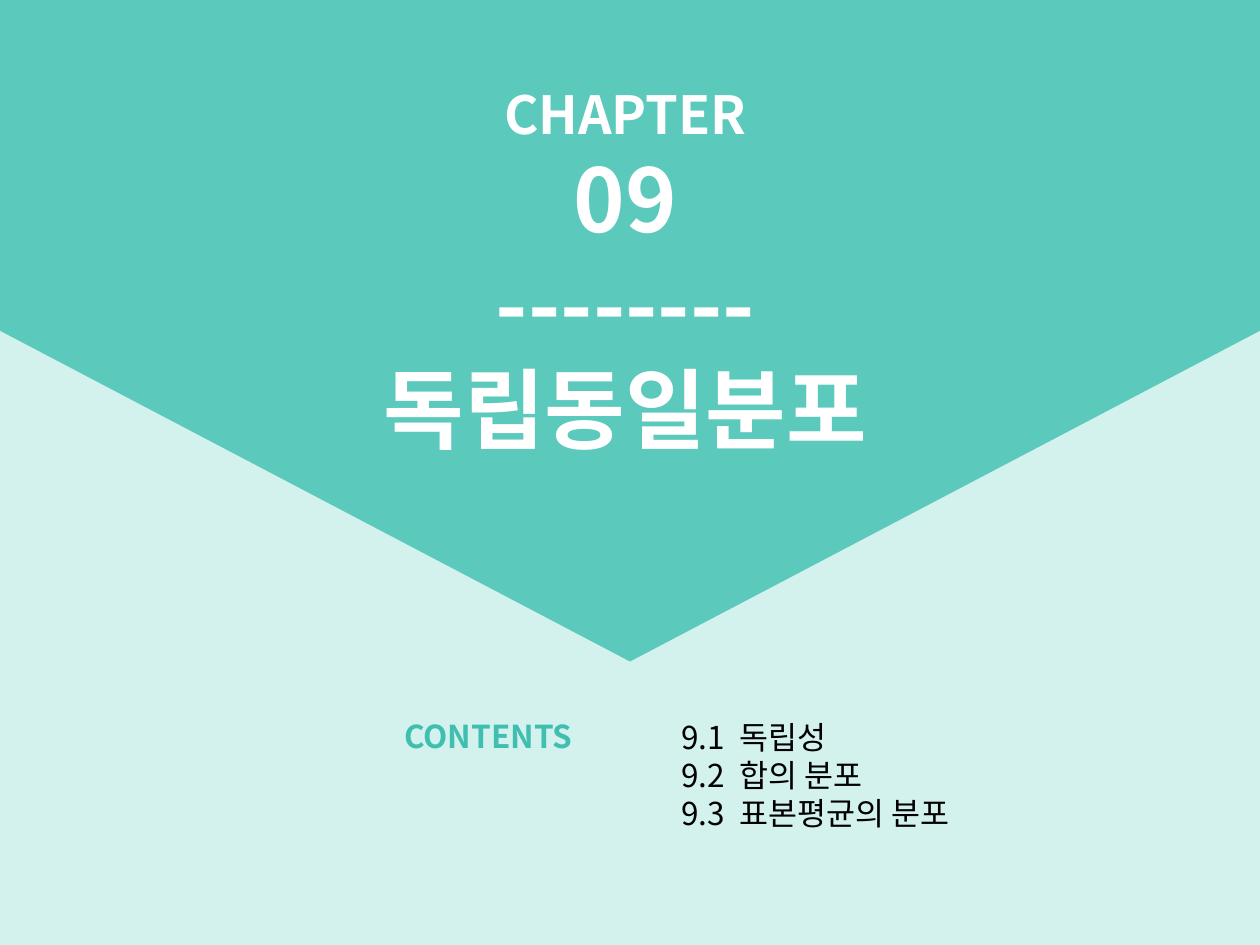
from lxml.etree import SubElement
from pptx import Presentation
from pptx.dml.color import RGBColor
from pptx.enum.shapes import MSO_SHAPE as Shape
from pptx.enum.text import MSO_ANCHOR as Anchor, MSO_AUTO_SIZE as AutoSize, PP_ALIGN as Align
from pptx.oxml.ns import qn
from pptx.util import Cm, Pt

FONT = "Noto Sans CJK KR"
WIDTH, HEIGHT = 25.4, 19.05


def color(value):
    return RGBColor.from_string(value)


def add_panel(page, kind, left, top, width, height, fill, rotation=0):
    panel = page.shapes.add_shape(kind, Cm(left), Cm(top), Cm(width), Cm(height))
    panel.rotation = rotation
    panel.shadow.inherit = False
    panel.fill.solid()
    panel.fill.fore_color.rgb = color(fill)
    panel.line.fill.background()
    return panel


def write(frame, text, size, fill, bold=False, align=Align.LEFT, hanging=0, first=False):
    para = frame.paragraphs[0] if first else frame.add_paragraph()
    para.alignment = align
    if hanging:
        properties = para._p.get_or_add_pPr()
        properties.set("marL", str(Cm(hanging)))
        properties.set("indent", str(-Cm(hanging)))
    span = para.add_run()
    span.text = text
    span.font.size = Pt(size)
    span.font.bold = bold
    span.font.name = FONT
    span.font.color.rgb = color(fill)
    SubElement(span._r.get_or_add_rPr(), qn("a:ea"), typeface=FONT)


def prepare(box, left, top, width, height):
    box.left, box.top, box.width, box.height = Cm(left), Cm(top), Cm(width), Cm(height)
    frame = box.text_frame
    frame.word_wrap = True
    frame.auto_size = AutoSize.SHAPE_TO_FIT_TEXT
    frame.vertical_anchor = Anchor.TOP
    return frame


def add_backdrop(page, left, top, width, height):
    add_panel(page, Shape.RECTANGLE, left, top, width, height, "D3F1ED")
    depth = height * 0.7
    add_panel(page, Shape.PENTAGON, left + (width - depth) / 2, top + (depth - width) / 2,
              depth, width, "5BC9BC", rotation=90)


def add_chapter_title(page, left, top, width, height):
    title = page.shapes.title
    page.shapes._spTree.append(title.element)
    frame = prepare(title, left, top, width, height)
    lines = [("CHAPTER", 30), ("09", 50), ("--------", 50), ("독립동일분포", 50)]
    for index, (text, size) in enumerate(lines):
        write(frame, text, size, "FFFFFF", bold=True, align=Align.CENTER, first=index == 0)


def add_contents(page, left, top, width, height):
    sections = ["독립성", "합의 분포", "표본평균의 분포"]
    list_offset = 5.59
    list_box = page.shapes.add_textbox(0, 0, 0, 0)
    frame = prepare(list_box, left + list_offset, top + 0.02, width - list_offset, height)
    for number, section in enumerate(sections, 1):
        write(frame, f"9.{number}\t{section}", 18, "000000", hanging=1.17, first=number == 1)
    label_box = page.shapes.add_textbox(0, 0, 0, 0)
    label = prepare(label_box, left, top, 4.39, 1.02)
    write(label, "CONTENTS", 18, "3FBFB0", bold=True, first=True)


def main():
    deck = Presentation()
    deck.slide_width, deck.slide_height = Cm(WIDTH), Cm(HEIGHT)
    page = deck.slides.add_slide(deck.slide_layouts[5])
    add_backdrop(page, 0, 0, WIDTH, HEIGHT)
    add_chapter_title(page, 6.91, 1.52, 11.4, 7.95)
    add_contents(page, 7.9, 14.33, 14, 2.57)
    deck.save("out.pptx")


if __name__ == "__main__":
    main()
